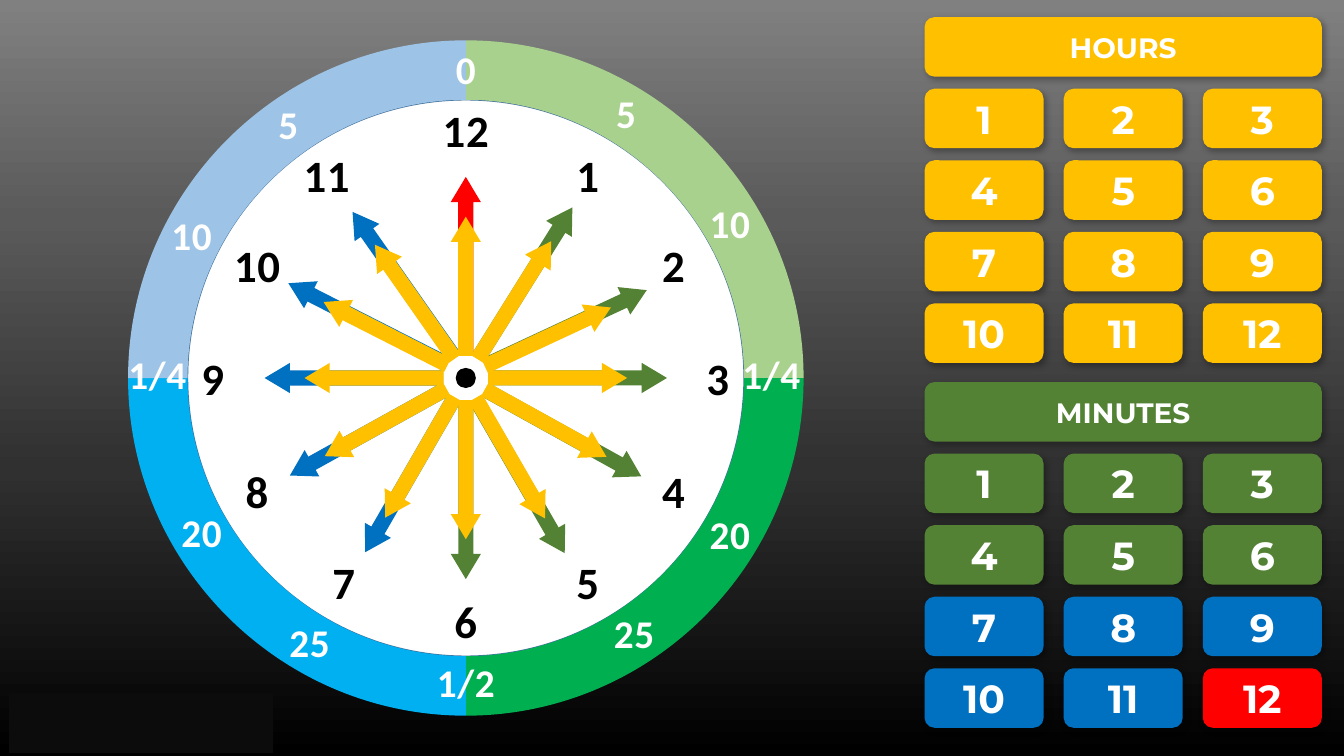
import copy
import math
from dataclasses import dataclass

import lxml.etree
import pptx
import pptx.dml.color
import pptx.enum.shapes
import pptx.enum.text
import pptx.oxml.ns
import pptx.util

Inches = pptx.util.Inches
Shapes = pptx.enum.shapes.MSO_SHAPE
qn = pptx.oxml.ns.qn


@dataclass(frozen=True)
class Theme:
    clock_font: str = "Calibri"
    button_font: str = "Montserrat"
    hour_size: int = 32
    minute_size: int = 28
    header_size: int = 20
    button_size: int = 28
    white: str = "FFFFFF"
    black: str = "000000"
    yellow: str = "FFC000"
    green: str = "548235"
    blue: str = "0070C0"
    red: str = "FF0000"
    face_line: str = "43739E"
    corner: str = "0C0C0C"


THEME = Theme()
BACKGROUND = [(0, "808080"), (0.29, "5A5A5A"), (0.62, "303030"), (1, "000000")]
QUADRANTS = ["A9D18E", "00B050", "00B0F0", "9DC3E6"]
HOUR_LABELS = [
    ("1", 1.21, -2.02), ("2", 2.06, -1.12), ("3", 2.5, 0), ("4", 2.06, 1.12),
    ("5", 1.21, 2.02), ("6", 0, 2.41), ("7", -1.21, 2.02), ("8", -2.07, 1.12),
    ("9", -2.51, 0), ("10", -2.07, -1.12), ("11", -1.38, -2.02), ("12", 0, -2.46),
]
MINUTE_LABELS = [
    ("5", 1.59, -2.63), ("10", 2.62, -1.54), ("1/4", 3.03, -0.04), ("20", 2.62, 1.55),
    ("25", 1.67, 2.53), ("1/2", 0, 3.01), ("25", -1.55, 2.62), ("20", -2.62, 1.53),
    ("1/4", -3.06, -0.04), ("10", -2.72, -1.42), ("5", -1.76, -2.52), ("0", 0, -3.07),
]
HAND_ROTATIONS = [32, 65, 90, 119, 150, 180, 210, 241, 270, 297, 325, 0]
HAND_BEARINGS = [32, 63.4, 90, 119.5, 151, 180, 210, 241, 270, 299, 326.3, 0]
HOUR_COLORS = [THEME.yellow] * 12
MINUTE_COLORS = [THEME.green] * 6 + [THEME.blue] * 5 + [THEME.red]
HANDS = [(1.77, 1.11, MINUTE_COLORS), (1.38, 0.91, HOUR_COLORS)]
PANELS = [("HOURS", 0.17, HOUR_COLORS), ("MINUTES", 3.79, MINUTE_COLORS)]

CENTER_X, CENTER_Y = 4.62, 3.75
FACE_RADIUS, RIM_RADIUS, DOT_RADIUS = 2.76, 3.35, 0.1
CURVE_RATIO = 0.55
HAND_WIDTH = 0.3
PANEL_LEFT, PANEL_WIDTH = 9.17, 3.94
BUTTON_WIDTH, BUTTON_HEIGHT = 1.18, 0.59
COLUMN_STEP, ROW_STEP = 1.38, 0.71


def rgb(color):
    return pptx.dml.color.RGBColor.from_string(color)


def paint(shape, color):
    shape.shadow.inherit = False
    shape.fill.solid()
    shape.fill.fore_color.rgb = rgb(color)
    shape.line.fill.background()


def add_shape(slide, kind, left, top, width, height, color):
    shape = slide.shapes.add_shape(kind, Inches(left), Inches(top), Inches(width), Inches(height))
    paint(shape, color)
    return shape


def add_disc(slide, radius, color):
    return add_shape(slide, Shapes.OVAL, CENTER_X - radius, CENTER_Y - radius,
                     2 * radius, 2 * radius, color)


def write(shape, text, font, size, color):
    shape.text_frame.text = text
    paragraph = shape.text_frame.paragraphs[0]
    paragraph.alignment = pptx.enum.text.PP_ALIGN.CENTER
    run = paragraph.runs[0]
    run.font.name = font
    run.font.size = pptx.util.Pt(size)
    run.font.bold = True
    run.font.color.rgb = rgb(color)
    return run


def set_background(slide):
    fill = slide.background.fill
    fill.gradient()
    fill.gradient_angle = 270
    stop_list = next(slide._element.iter(qn("a:gsLst")))
    while len(stop_list) < len(BACKGROUND):
        stop_list.append(copy.deepcopy(stop_list[0]))
    for stop, (position, color) in zip(fill.gradient_stops, BACKGROUND):
        stop.position = position
        stop.color.rgb = rgb(color)


def bend(segment, shape, begin, finish):
    segment.tag_name = None


def rim_point(radius, angle):
    return (Inches(CENTER_X + radius * math.sin(math.radians(angle))),
            Inches(CENTER_Y - radius * math.cos(math.radians(angle))))


def curve_segment(shape, begin, finish):
    center = (Inches(CENTER_X), Inches(CENTER_Y))
    first = [b + CURVE_RATIO * (f - c) for b, f, c in zip(begin, finish, center)]
    second = [f + CURVE_RATIO * (b - c) for b, f, c in zip(begin, finish, center)]
    curve = lxml.etree.Element(qn("a:cubicBezTo"))
    for x, y in (first, second, finish):
        lxml.etree.SubElement(curve, qn("a:pt"), x=str(round(x - shape.left)),
                              y=str(round(y - shape.top)))
    return curve


def add_quadrant(slide, start, color):
    corners = [rim_point(RIM_RADIUS, start), rim_point(RIM_RADIUS, start + 90),
               rim_point(FACE_RADIUS, start + 90), rim_point(FACE_RADIUS, start)]
    builder = slide.shapes.build_freeform(*corners[0])
    builder.add_line_segments(corners[1:], close=True)
    shape = builder.convert_to_shape()
    paint(shape, color)
    lines = list(shape._element.iter(qn("a:lnTo")))
    for index in (0, 2):
        curve = curve_segment(shape, corners[index], corners[index + 1])
        lines[index].getparent().replace(lines[index], curve)


def add_label(slide, text, across, down, size, color):
    width = 0.2 + 0.0073 * size * len(text)
    height = 0.1 + size / 60
    box = slide.shapes.add_textbox(Inches(CENTER_X + across - width / 2),
                                   Inches(CENTER_Y + down - height / 2),
                                   Inches(width), Inches(height))
    box.text_frame.word_wrap = False
    box.text_frame.auto_size = pptx.enum.text.MSO_AUTO_SIZE.SHAPE_TO_FIT_TEXT
    run = write(box, text, THEME.clock_font, size, color)
    run._r.get_or_add_rPr().set("spc", "50")


def add_hand(slide, length, radius, rotation, bearing, color):
    angle = math.radians(bearing)
    hand = add_shape(slide, Shapes.UP_ARROW,
                     CENTER_X + radius * math.sin(angle) - HAND_WIDTH / 2,
                     CENTER_Y - radius * math.cos(angle) - length / 2,
                     HAND_WIDTH, length, color)
    hand.adjustments[0] = 0.5
    hand.adjustments[1] = 0.835
    hand.rotation = rotation


def add_button(slide, text, left, top, width, size, color):
    button = add_shape(slide, Shapes.ROUNDED_RECTANGLE, left, top, width, BUTTON_HEIGHT, color)
    button.text_frame.vertical_anchor = pptx.enum.text.MSO_ANCHOR.MIDDLE
    write(button, text, THEME.button_font, size, THEME.white)
    effects = button._element.spPr.find(qn("a:effectLst"))
    shadow = lxml.etree.SubElement(effects, qn("a:outerShdw"), blurRad="57150", dist="33020",
                                   dir="3180000", algn="ctr", rotWithShape="0")
    shade = lxml.etree.SubElement(shadow, qn("a:srgbClr"), val=THEME.black)
    lxml.etree.SubElement(shade, qn("a:alpha"), val="30000")


def add_clock(slide):
    face = add_disc(slide, FACE_RADIUS, THEME.white)
    face.line.color.rgb = rgb(THEME.face_line)
    face.line.width = pptx.util.Pt(1)
    add_disc(slide, DOT_RADIUS, THEME.black)
    for index, color in enumerate(QUADRANTS):
        add_quadrant(slide, index * 90, color)
    for label in HOUR_LABELS:
        add_label(slide, *label, THEME.hour_size, THEME.black)
    for label in MINUTE_LABELS:
        add_label(slide, *label, THEME.minute_size, THEME.white)
    for length, radius, colors in HANDS:
        for rotation, bearing, color in zip(HAND_ROTATIONS, HAND_BEARINGS, colors):
            add_hand(slide, length, radius, rotation, bearing, color)


def add_panel(slide, title, top, colors):
    add_button(slide, title, PANEL_LEFT, top, PANEL_WIDTH, THEME.header_size, colors[0])
    for index, color in enumerate(colors):
        row, column = divmod(index, 3)
        add_button(slide, str(index + 1), PANEL_LEFT + column * COLUMN_STEP,
                   top + (row + 1) * ROW_STEP, BUTTON_WIDTH, THEME.button_size, color)


def main():
    presentation = pptx.Presentation()
    presentation.slide_width = Inches(13.33)
    presentation.slide_height = Inches(7.5)
    slide = presentation.slides.add_slide(presentation.slide_layouts[6])
    set_background(slide)
    add_clock(slide)
    for panel in PANELS:
        add_panel(slide, *panel)
    add_shape(slide, Shapes.RECTANGLE, 0.09, 6.88, 2.62, 0.59, THEME.corner)
    presentation.save("out.pptx")


if __name__ == "__main__":
    main()
